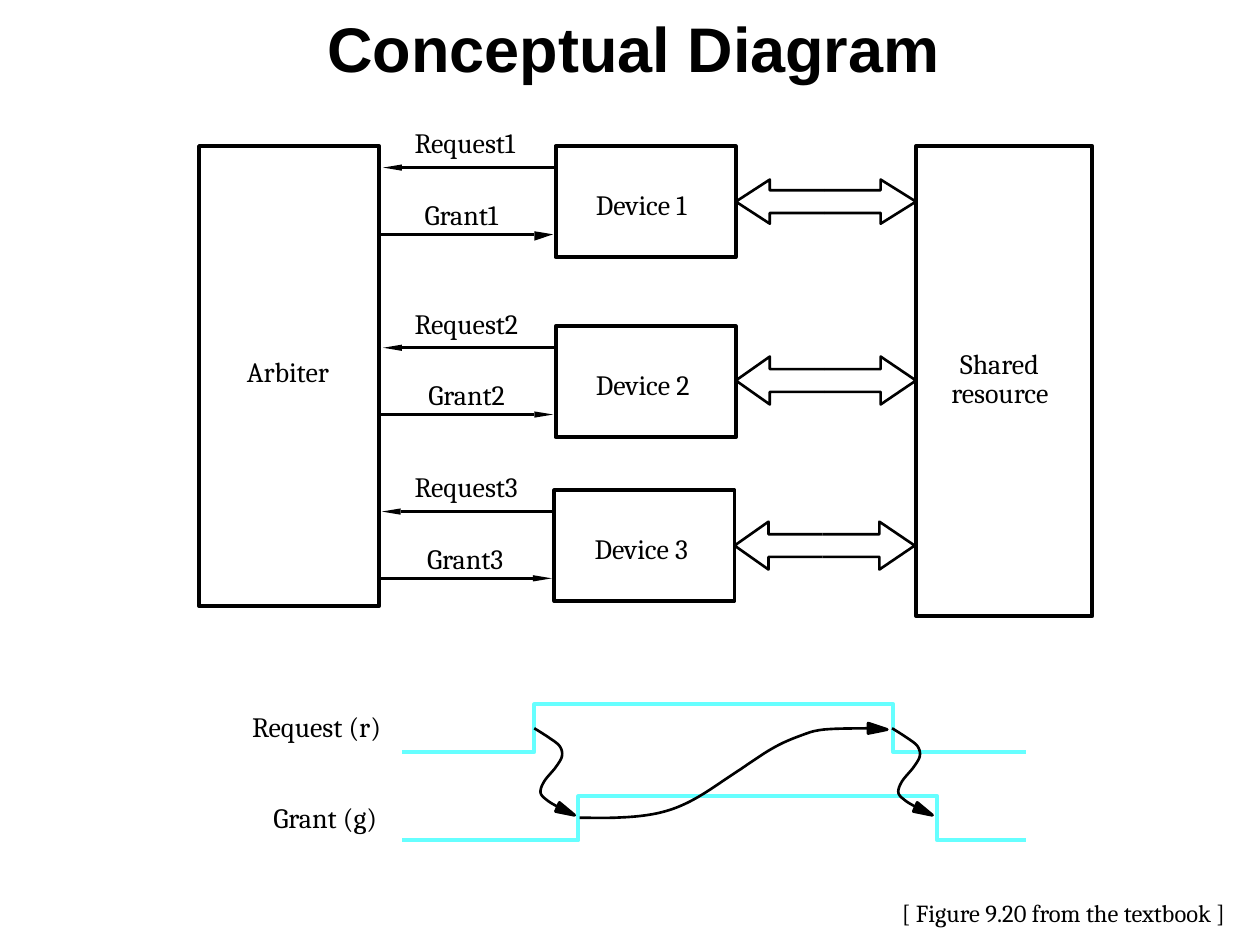
from dataclasses import dataclass

from lxml import etree
from pptx import Presentation
from pptx.dml.color import RGBColor
from pptx.enum import shapes, text
from pptx.oxml.ns import qn
from pptx.util import Inches, Pt


@dataclass(frozen=True)
class Theme:
    ink: RGBColor = RGBColor(0, 0, 0)
    signal: RGBColor = RGBColor(0x66, 0xFF, 0xFF)
    title_font: str = "Arial"
    body_font: str = "Cambria"
    title_size: float = 36
    label_size: float = 16
    caption_size: float = 14
    thin: float = 1.5
    head: float = 1.75
    thick: float = 2.25


def smooth(points, steps=8):
    """Sample a Catmull-Rom curve that passes through all points."""
    padded = [points[0], *points, points[-1]]
    curve = [points[0]]
    for a, b, c, d in zip(padded, padded[1:], padded[2:], padded[3:]):
        for k in range(1, steps + 1):
            t = k / steps
            curve.append(tuple(
                0.5 * (2 * q + (r - p) * t
                       + (2 * p - 5 * q + 4 * r - s) * t ** 2
                       + (3 * q - p - 3 * r + s) * t ** 3)
                for p, q, r, s in zip(a, b, c, d)))
    return curve


class Painter:
    def __init__(self, slide, theme):
        self.shapes = slide.shapes
        self.theme = theme

    def stroke(self, sp, width, color=None):
        sp.line.color.rgb = color or self.theme.ink
        sp.line.width = Pt(width)

    def box(self, x, y, w, h):
        sp = self.shapes.add_shape(shapes.MSO_SHAPE.RECTANGLE,
                                   Inches(x), Inches(y), Inches(w), Inches(h))
        sp.shadow.inherit = False
        sp.fill.background()
        self.stroke(sp, self.theme.thick)

    def line(self, x1, x2, y):
        cn = self.shapes.add_connector(shapes.MSO_CONNECTOR.STRAIGHT,
                                       Inches(x1), Inches(y), Inches(x2), Inches(y))
        self.stroke(cn, self.theme.thin)
        etree.SubElement(cn._element.spPr, qn("a:effectLst"))

    def outline(self, points, width, color=None, solid=False):
        """Draw an open line, or a filled closed outline; width 0 means no line."""
        start, *rest = [(Inches(x), Inches(y)) for x, y in points]
        fb = self.shapes.build_freeform(*start)
        fb.add_line_segments(rest, close=solid)
        sp = fb.convert_to_shape()
        sp.shadow.inherit = False
        if solid:
            sp.fill.solid()
            sp.fill.fore_color.rgb = color or self.theme.ink
        else:
            sp.fill.background()
        if width:
            self.stroke(sp, width, color)
        else:
            sp.line.fill.background()

    def arrowhead(self, tip, y, direction, above=0.025, below=0.025):
        base = tip - direction * 0.15
        self.outline([(base, y - above), (tip, y), (base, y + below)], 0, solid=True)

    def block_arrow(self, left, right, y, head_height):
        """Double arrow made of two halves that meet in the middle."""
        middle = left + 0.7
        body, head = 0.09, head_height / 2
        for tip, neck in ((left, left + 0.27), (right, right - 0.28)):
            self.outline([(middle, y + body), (neck, y + body), (neck, y + head),
                          (tip, y), (neck, y - head), (neck, y - body),
                          (middle, y - body)], self.theme.thin)

    def text_box(self, words, x, y, w, h, size, font, bold=False):
        tb = self.shapes.add_textbox(Inches(x), Inches(y), Inches(w), Inches(h))
        tf = tb.text_frame
        tf.text = words
        p = tf.paragraphs[0]
        r = p.runs[0]
        r.font.size, r.font.name, r.font.bold = Pt(size), font, bold
        r.font.color.rgb = self.theme.ink
        return tf

    def title(self, words):
        tf = self.text_box(words, 0.03, 0, 10, 0.75, self.theme.title_size,
                           self.theme.title_font, True)
        tf.word_wrap = True
        tf.vertical_anchor = text.MSO_ANCHOR.MIDDLE
        tf.paragraphs[0].alignment = text.PP_ALIGN.CENTER

    def fitted(self, words, x, y, w, h, size):
        tf = self.text_box(words, x, y, w, h, size, self.theme.body_font)
        tf.word_wrap = False
        tf.auto_size = text.MSO_AUTO_SIZE.SHAPE_TO_FIT_TEXT
        return tf

    def label(self, words, x, y, w, h=0.32):
        tf = self.fitted(words, x, y, w, h, self.theme.label_size)
        tf.margin_left = tf.margin_right = tf.margin_top = tf.margin_bottom = 0

    def caption(self, words, x, y, w, h):
        self.fitted(words, x, y, w, h, self.theme.caption_size)


# number, left, top, bus centre, bus head height, left of grant label
DEVICES = [
    (1, 4.41, 1.16, 1.6, 0.35, 3.37),
    (2, 4.41, 2.59, 3.02, 0.38, 3.4),
    (3, 4.4, 3.89, 4.33, 0.38, 3.39),
]

# label, label left, label top, label width, rise, fall, high, low
SIGNALS = [
    ("Request (r)", 2, 5.63, 1.21, 4.24, 7.09, 5.59, 5.97),
    ("Grant (g)", 2.17, 6.35, 1.03, 4.59, 7.44, 6.32, 6.67),
]

HANDSHAKE = [(4.6, 6.49), (4.88, 6.49), (5.13, 6.47), (5.34, 6.42), (5.55, 6.32),
             (5.84, 6.13), (6.13, 5.94), (6.35, 5.84), (6.54, 5.79), (6.89, 5.78)]
S_CURVE = [(0, 0), (0.11, 0.07), (0.2, 0.14), (0.22, 0.22), (0.17, 0.31),
           (0.08, 0.42), (0.05, 0.51), (0.1, 0.57), (0.18, 0.62)]
S_HEAD = [(0.17, 0.66), (0.32, 0.69), (0.2, 0.59)]


def draw_device(paint, number, left, top, bus_y, head_height, grant_x):
    request_y, grant_y = top + 0.17, top + 0.7
    arbiter_edge = left - 1.4
    paint.box(left, top, 1.43, 0.88)
    paint.label(f"Device {number}", left + 0.32, top + 0.33, 0.94)
    paint.label(f"Request{number}", 3.29, top - 0.16, 0.98)
    paint.label(f"Grant{number}", grant_x, top + 0.41, 0.75)
    paint.line(left - 1.22, left, request_y)
    paint.arrowhead(left - 1.37, request_y, -1)
    paint.line(left - 0.17, arbiter_edge, grant_y)
    paint.arrowhead(left - 0.02, grant_y, 1, below=0.05 if number == 1 else 0.025)
    paint.block_arrow(left + 1.43, left + 2.86, bus_y, head_height)


def draw_timing(paint):
    theme = paint.theme
    for name, x, y, w, rise, fall, high, low in SIGNALS:
        paint.label(name, x, y, w)
        paint.outline([(8.14, low), (fall, low), (fall, high), (rise, high),
                       (rise, low), (3.19, low)], theme.thick, theme.signal)
    paint.outline(smooth(HANDSHAKE), theme.thin)
    paint.outline([(6.89, 5.82), (7.04, 5.79), (6.89, 5.74)], theme.head, solid=True)
    for x in (4.24, 7.08):
        curve, head = ([(x + dx, 5.78 + dy) for dx, dy in points]
                       for points in (S_CURVE, S_HEAD))
        paint.outline(smooth(curve), theme.thin)
        paint.outline(head, theme.head, solid=True)


def main():
    prs = Presentation()
    prs.slide_width, prs.slide_height = Inches(10), Inches(7.5)
    paint = Painter(prs.slides.add_slide(prs.slide_layouts[6]), Theme())

    paint.title("Conceptual Diagram")
    paint.box(1.58, 1.16, 1.43, 3.65)
    paint.label("Arbiter", 1.96, 2.81, 0.84)
    paint.box(7.27, 1.16, 1.4, 3.73)
    paint.label("Shared", 7.62, 2.75, 0.75)
    paint.label("resource", 7.55, 2.98, 0.9)
    for device in DEVICES:
        draw_device(paint, *device)
    draw_timing(paint)
    paint.caption("[ Figure 9.20 from the textbook ]", 7.06, 7.08, 2.79, 0.34)
    prs.save("out.pptx")


if __name__ == "__main__":
    main()
